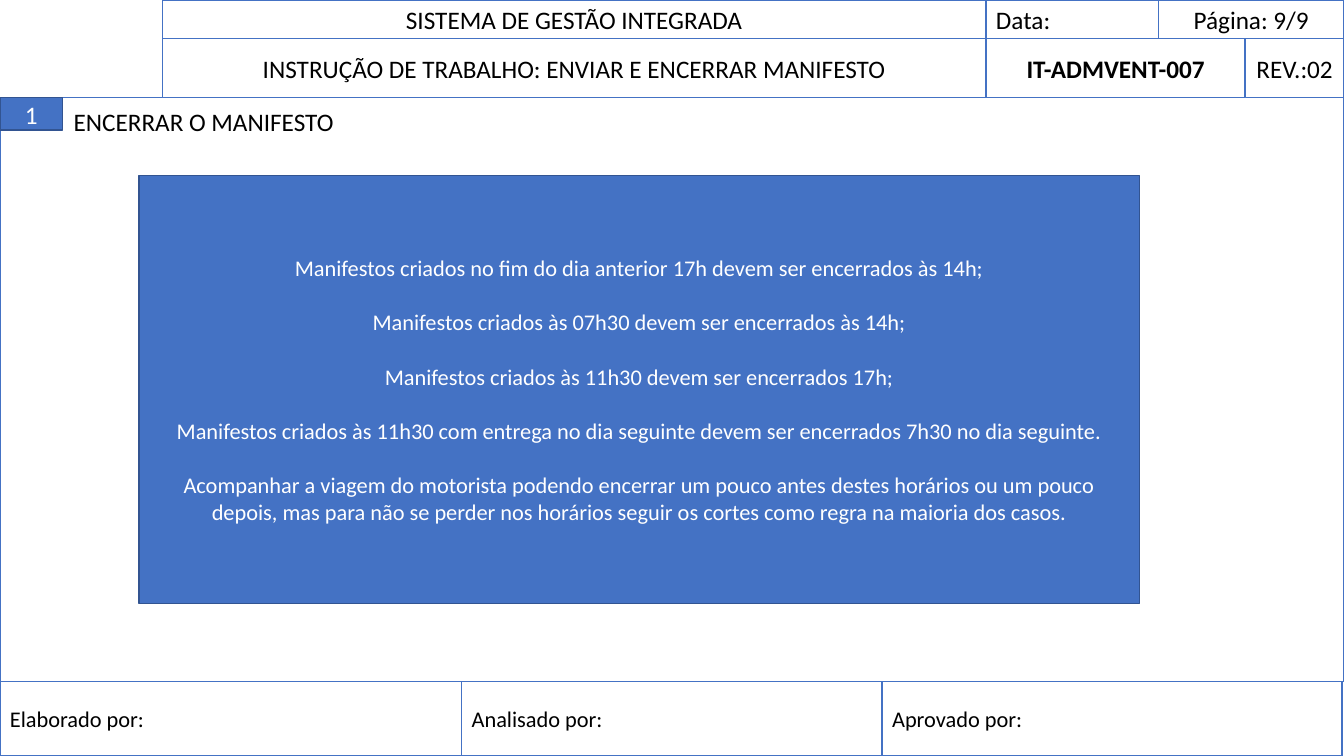
from itertools import pairwise

from pptx import Presentation
from pptx import util as u
from pptx.dml.color import RGBColor
from pptx.enum import shapes, text

WIDTH, HEIGHT = 13.33, 7.5
BLUE, DARK_BLUE, WHITE, BLACK = "4472C4", "325491", "FFFFFF", "000000"
LEFT, CENTER = text.PP_ALIGN.LEFT, text.PP_ALIGN.CENTER

# Row and column edges of the form, in inches
HEADER_ROWS = (0, 0.38, 0.97)
HEADER_TOP_COLUMNS = (1.61, 9.78, 11.49, WIDTH)
HEADER_BOTTOM_COLUMNS = (1.61, 9.78, 12.35, WIDTH)
FOOTER_COLUMNS = (0, 4.58, 8.75, 13.31)
FOOTER_TOP = 6.76

HEADER_TOP = (
    ("SISTEMA DE GESTÃO INTEGRADA", {"align": CENTER}),
    ("Data:", {}),
    ("Página: 9/9", {"align": CENTER}),
)
HEADER_BOTTOM = (
    ("INSTRUÇÃO DE TRABALHO: ENVIAR E ENCERRAR MANIFESTO", {"align": CENTER}),
    ("IT-ADMVENT-007", {"align": CENTER, "bold": True}),
    ("REV.:02", {"align": CENTER}),
)
FOOTER = tuple((label, {"size": 16}) for label in
               ("Elaborado por:", "Analisado por:", "Aprovado por:"))
RULES = (
    "Manifestos criados no fim do dia anterior 17h devem ser encerrados às 14h;",
    "Manifestos criados às 07h30 devem ser encerrados às 14h;",
    "Manifestos criados às 11h30 devem ser encerrados 17h;",
    "Manifestos criados às 11h30 com entrega no dia seguinte devem ser "
    "encerrados 7h30 no dia seguinte.",
    "Acompanhar a viagem do motorista podendo encerrar um pouco antes destes "
    "horários ou um pouco depois, mas para não se perder nos horários seguir "
    "os cortes como regra na maioria dos casos.",
)


def color(value):
    return RGBColor.from_string(value)


def write(shape, lines, size=18, ink=BLACK, align=LEFT, bold=False, gap=0,
          anchor=text.MSO_ANCHOR.MIDDLE):
    frame = shape.text_frame
    frame_format = {
        "word_wrap": True, "vertical_anchor": anchor,
        "margin_left": u.Inches(0.1), "margin_right": u.Inches(0.1),
        "margin_top": u.Inches(0.05), "margin_bottom": u.Inches(0.05),
    }
    for name, value in frame_format.items():
        setattr(frame, name, value)
    font_format = {"name": "Calibri", "size": u.Pt(size), "bold": bold}
    for index, line in enumerate(lines):
        paragraph = frame.add_paragraph() if index else frame.paragraphs[0]
        paragraph.alignment = align
        paragraph.space_before = u.Pt(gap if index else 0)
        run = paragraph.add_run()
        run.text = line
        for name, value in font_format.items():
            setattr(run.font, name, value)
        run.font.color.rgb = color(ink)


def add_box(slide, box, fill=WHITE, line=BLUE):
    shape = slide.shapes.add_shape(
        shapes.MSO_SHAPE.RECTANGLE, *(u.Inches(length) for length in box))
    shape.shadow.inherit = False
    shape.fill.solid()
    shape.fill.fore_color.rgb = color(fill)
    shape.line.color.rgb = color(line)
    shape.line.width = u.Pt(1)
    return shape


def add_row(slide, columns, top, bottom, cells):
    """Bordered cells between neighbouring column edges."""
    for (left, right), (label, style) in zip(pairwise(columns), cells):
        cell = add_box(slide, (left, top, right - left, bottom - top))
        write(cell, [label], **style)


def add_header(slide):
    top, middle, bottom = HEADER_ROWS
    add_row(slide, HEADER_TOP_COLUMNS, top, middle, HEADER_TOP)
    add_row(slide, HEADER_BOTTOM_COLUMNS, middle, bottom, HEADER_BOTTOM)


def add_body(slide, left, top, width, height):
    add_box(slide, (left, top, width, height))

    # Step number and title
    number = add_box(slide, (left, top, 0.62, 0.32), BLUE, DARK_BLUE)
    write(number, ["1"], ink=WHITE, align=CENTER)
    title = slide.shapes.title
    place = {"left": left + 0.63, "top": top + 0.03, "width": 5.07, "height": 0.4}
    for name, value in place.items():
        setattr(title, name, u.Inches(value))
    write(title, ["ENCERRAR O MANIFESTO"], anchor=text.MSO_ANCHOR.TOP)
    title.text_frame.auto_size = text.MSO_AUTO_SIZE.NONE
    title.element.getparent().append(title.element)  # in front of the frame

    # Closing times
    panel = add_box(slide, (left + 1.38, top + 0.77, 9.92, 4.25), BLUE, DARK_BLUE)
    write(panel, RULES, size=16, ink=WHITE, align=CENTER, gap=19.5)


def main():
    presentation = Presentation()
    presentation.slide_width = u.Inches(WIDTH)
    presentation.slide_height = u.Inches(HEIGHT)
    slide = presentation.slides.add_slide(
        presentation.slide_layouts.get_by_name("Title Only"))
    body_top = HEADER_ROWS[-1]
    add_body(slide, 0, body_top, WIDTH, FOOTER_TOP - body_top)
    add_header(slide)
    add_row(slide, FOOTER_COLUMNS, FOOTER_TOP, HEIGHT, FOOTER)
    presentation.save("out.pptx")


if __name__ == "__main__":
    main()
